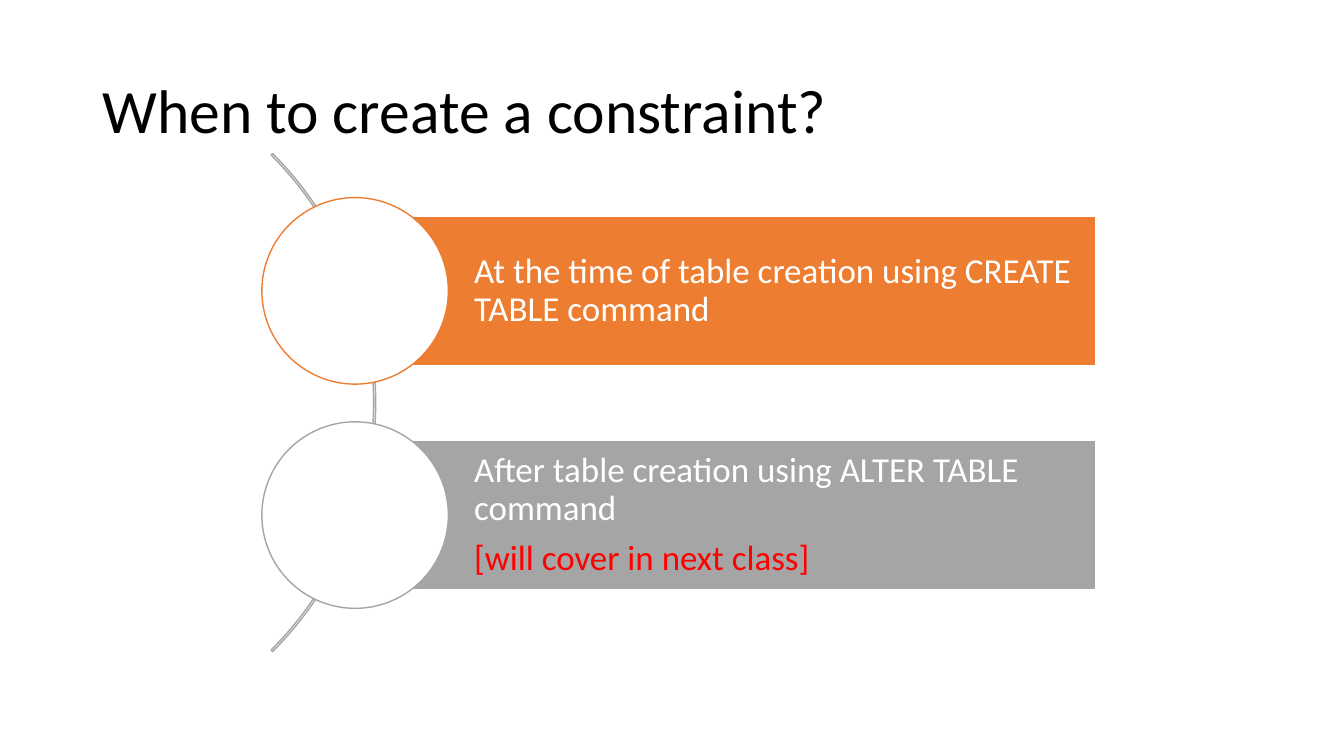
from dataclasses import dataclass

from pptx import Presentation
from pptx.dml.color import RGBColor
from pptx.enum.shapes import MSO_SHAPE
from pptx.enum.text import MSO_ANCHOR, MSO_AUTO_SIZE, PP_ALIGN
from pptx.util import Cm, Pt

RECTANGLE, OVAL, BLOCK_ARC = MSO_SHAPE.RECTANGLE, MSO_SHAPE.OVAL, MSO_SHAPE.BLOCK_ARC
MIDDLE = MSO_ANCHOR.MIDDLE
LEFT = PP_ALIGN.LEFT
NO_AUTOFIT = MSO_AUTO_SIZE.NONE
TITLE_ONLY_LAYOUT = 5


@dataclass(frozen=True)
class Theme:
    font: str = "Calibri"
    title_size: float = 44
    body_size: float = 25
    line_spacing: float = 0.9
    space_after: float = 8.75
    line_width: float = 1
    black: str = "000000"
    white: str = "FFFFFF"
    orange: str = "ED7D31"
    gray: str = "A5A5A5"
    red: str = "FF0000"


class SlideBuilder:
    def __init__(self, slide, theme):
        self.slide = slide
        self.theme = theme

    def add_text(self, paragraph, text, size, color):
        paragraph.alignment = LEFT
        paragraph.line_spacing = self.theme.line_spacing
        run = paragraph.add_run()
        run.text = text
        run.font.name = self.theme.font
        run.font.size = Pt(size)
        run.font.color.rgb = RGBColor.from_string(color)

    def title(self, text, left, top, width, height):
        shape = self.slide.shapes.title
        shape.left, shape.top = Cm(left), Cm(top)
        shape.width, shape.height = Cm(width), Cm(height)
        frame = shape.text_frame
        frame.auto_size = NO_AUTOFIT
        frame.vertical_anchor = MIDDLE
        self.add_text(frame.paragraphs[0], text, self.theme.title_size, self.theme.black)

    def shape(self, kind, left, top, width, height, line, fill=None):
        shape = self.slide.shapes.add_shape(kind, Cm(left), Cm(top), Cm(width), Cm(height))
        shape.shadow.inherit = False
        if fill:
            shape.fill.solid()
            shape.fill.fore_color.rgb = RGBColor.from_string(fill)
        else:
            shape.fill.background()
        shape.line.color.rgb = RGBColor.from_string(line)
        shape.line.width = Pt(self.theme.line_width)
        return shape

    def arc(self, left, top, diameter, start, end, thickness):
        arc = self.shape(BLOCK_ARC, left, top, diameter, diameter, self.theme.gray)
        for index, value in enumerate((start, end, thickness)):
            arc.adjustments[index] = value

    def circle(self, center_x, center_y, diameter, line):
        radius = diameter / 2
        self.shape(OVAL, center_x - radius, center_y - radius, diameter, diameter,
                   line, self.theme.white)

    def bar(self, left, top, width, height, fill, lines):
        bar = self.shape(RECTANGLE, left, top, width, height, self.theme.white, fill)
        frame = bar.text_frame
        frame.word_wrap = True
        frame.vertical_anchor = MIDDLE
        frame.margin_left = Cm(3)
        frame.margin_top = frame.margin_right = frame.margin_bottom = Cm(0.18)
        for index, (text, color) in enumerate(lines):
            paragraph = frame.add_paragraph() if index else frame.paragraphs[0]
            paragraph.space_after = Pt(self.theme.space_after)
            self.add_text(paragraph, text, self.theme.body_size, color)


def main():
    theme = Theme()
    presentation = Presentation()
    presentation.slide_width, presentation.slide_height = Cm(33.87), Cm(19.05)
    slide = presentation.slides.add_slide(presentation.slide_layouts[TITLE_ONLY_LAYOUT])
    builder = SlideBuilder(slide, theme)

    # Title
    builder.title("When to create a constraint?", 2.33, 1.02, 29.21, 3.68)

    # Curve from 315 to 45 degrees behind the options
    builder.arc(-8.28, 1.27, 17.75, start=189, end=27, thickness=0.003)

    # Options: a bar with a circle centred on its left edge
    options = [
        (theme.orange, [
            ("At the time of table creation using CREATE TABLE command", theme.white)]),
        (theme.gray, [
            ("After table creation using ALTER TABLE command", theme.white),
            ("[will cover in next class]", theme.red)]),
    ]
    bar_left, first_top, bar_width, bar_height = 8.95, 5.45, 18.67, 3.76
    pitch, circle_diameter = 5.65, 4.7
    for index, (color, lines) in enumerate(options):
        top = first_top + index * pitch
        builder.bar(bar_left, top, bar_width, bar_height, color, lines)
        builder.circle(bar_left, top + bar_height / 2, circle_diameter, color)

    presentation.save("out.pptx")


if __name__ == "__main__":
    main()
